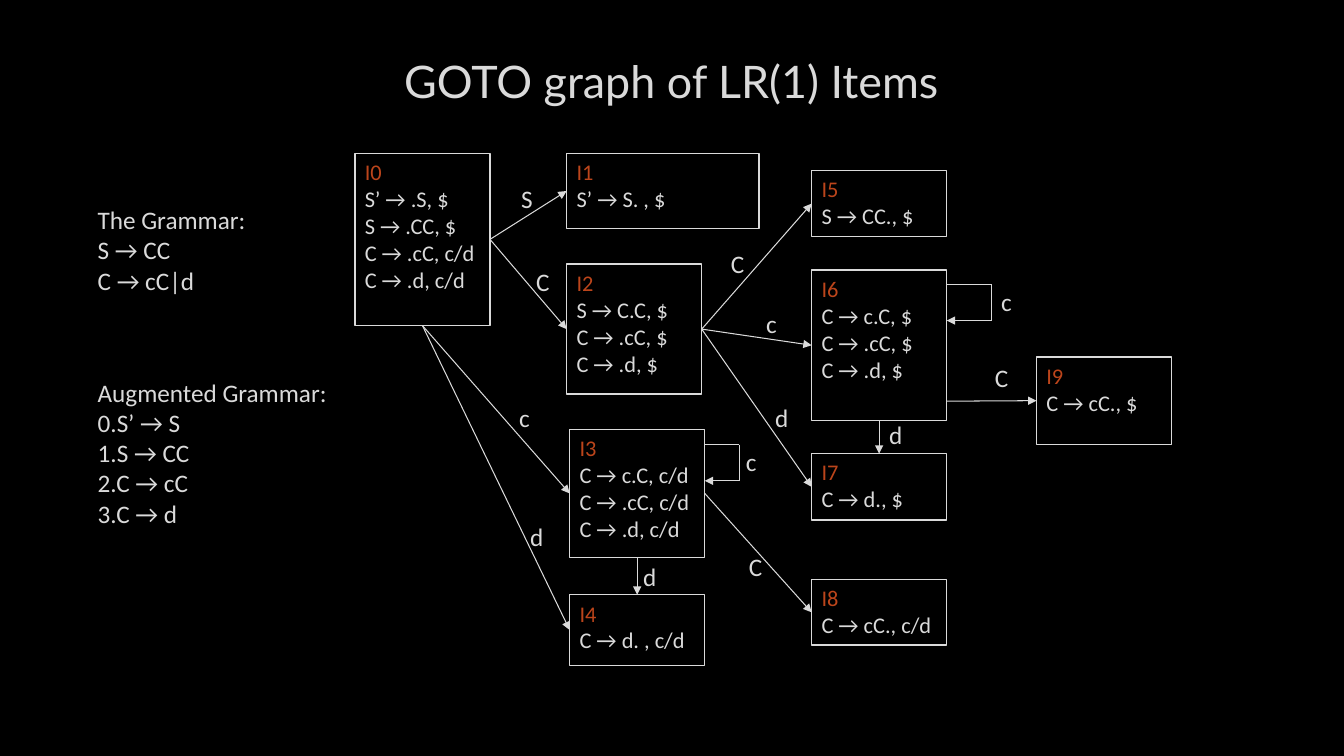
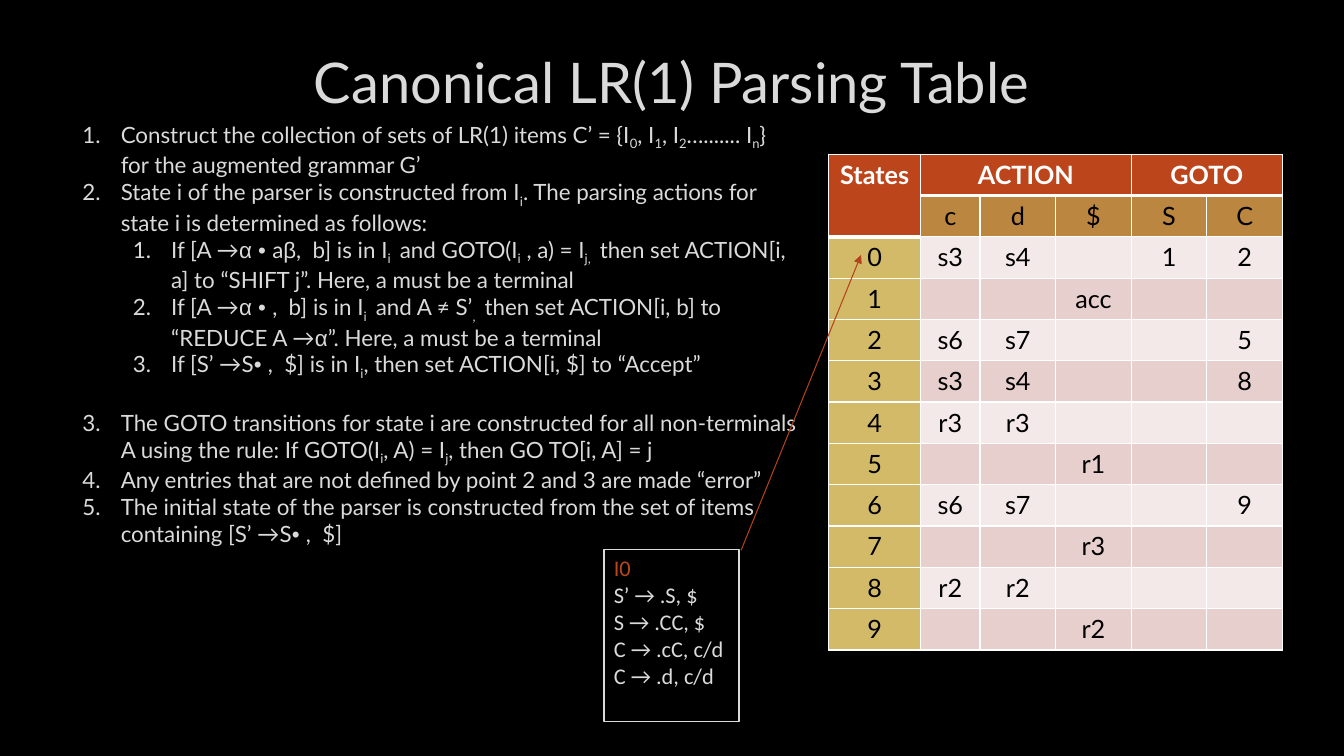
from itertools import pairwise

from lxml import etree
from pptx import Presentation
from pptx.dml.color import RGBColor
from pptx.enum.shapes import MSO_CONNECTOR, MSO_SHAPE
from pptx.enum.text import MSO_ANCHOR, PP_ALIGN
from pptx.oxml.ns import qn
from pptx.util import Inches, Pt

BLACK = RGBColor(0x00, 0x00, 0x00)
WHITE = RGBColor(0xFF, 0xFF, 0xFF)
LIGHT = RGBColor(0xDA, 0xDA, 0xDA)
RUST = RGBColor(0xBC, 0x45, 0x1B)
DARK_RUST = RGBColor(0xB4, 0x42, 0x1A)
BRONZE = RGBColor(0xBB, 0x86, 0x40)
GOLD = RGBColor(0xD3, 0xBA, 0x68)
BANDS = (RGBColor(0xF3, 0xE9, 0xE8), RGBColor(0xE7, 0xCF, 0xCD))

TOP, LEFT, BOTTOM, RIGHT = range(4)

GRAMMAR = ["The Grammar:", "S → CC", "C → cC|d"]
AUGMENTED = ["Augmented Grammar:", "0.S’ → S", "1.S → CC", "2.C → cC", "3.C → d"]
I0_ITEMS = ["S’ → .S, $", "S → .CC, $", "C → .cC, c/d", "C → .d, c/d"]

# name: (left, top, width, height, items)
STATES = {
    "I0": (3.52, 1.52, 1.34, 1.71, I0_ITEMS),
    "I1": (5.62, 1.52, 1.91, 0.75, ["S’ → S. , $"]),
    "I2": (5.62, 2.62, 1.34, 1.29, ["S → C.C, $", "C → .cC, $", "C → .d, $"]),
    "I3": (5.65, 4.26, 1.34, 1.27, ["C → c.C, c/d", "C → .cC, c/d", "C → .d, c/d"]),
    "I4": (5.65, 5.9, 1.34, 0.7, ["C → d. , c/d"]),
    "I5": (8.05, 1.69, 1.34, 0.66, ["S → CC., $"]),
    "I6": (8.05, 2.68, 1.34, 1.49, ["C → c.C, $", "C → .cC, $", "C → .d, $"]),
    "I7": (8.05, 4.5, 1.34, 0.66, ["C → d., $"]),
    "I8": (8.05, 5.75, 1.34, 0.65, ["C → cC., c/d"]),
    "I9": (10.28, 3.54, 1.34, 0.87, ["C → cC., $"]),
}

# source, side, target, side, symbol, symbol left, symbol top
TRANSITIONS = [
    ("I0", RIGHT, "I1", LEFT, "S", 5.07, 1.77),
    ("I0", RIGHT, "I2", LEFT, "C", 5.22, 2.59),
    ("I0", BOTTOM, "I3", LEFT, "c", 5.05, 3.94),
    ("I0", BOTTOM, "I4", LEFT, "d", 5.16, 5.12),
    ("I2", RIGHT, "I5", LEFT, "C", 7.15, 2.41),
    ("I2", RIGHT, "I6", LEFT, "c", 7.5, 3.01),
    ("I2", RIGHT, "I7", LEFT, "d", 7.59, 3.94),
    ("I3", RIGHT, "I8", LEFT, "C", 7.33, 5.42),
    ("I3", BOTTOM, "I4", TOP, "d", 6.28, 5.52),
    ("I6", BOTTOM, "I7", TOP, "d", 8.72, 4.11),
]

# (level, text): |...| is subscript, `...` is set in the symbol font
STEPS = [
    (0, "Construct the collection of sets of LR(1) items C’ = "
        "{I|0|, I|1|, I|2|…....... I|n|} for the augmented grammar G’"),
    (0, "State i of the parser is constructed from I|i|. "
        "The parsing actions for state i is determined as follows:"),
    (1, "If [A →`α • `a`β`,  b] is in I|i | and GOTO(I|i| , a) = I|j, | "
        "then set ACTION[i, a] to “SHIFT j”. Here, a must be a terminal"),
    (1, "If [A →`α • `,  b] is in I|i | and A ≠ S’|, | "
        "then set ACTION[i, b] to “REDUCE A →`α`”. Here, a must be a terminal"),
    (1, "If [S’ →S`• `,  $] is in I|i|, then set ACTION[i, $] to “Accept”"),
    (0, "The GOTO transitions for state i are constructed for all non-terminals "
        "A using the rule: If GOTO(I|i|, A) = I|j|, then GO TO[i, A] = j"),
    (0, "Any entries that are not defined by point 2 and 3 are made “error”"),
    (0, "The initial state of the parser is constructed from the set of items "
        "containing [S’ →S`• `,  $]"),
]

COLUMN_WIDTHS = (0.91, 0.59, 0.75, 0.75, 0.75, 0.75)
PARSING_TABLE = [
    ("States", "ACTION", "", "", "GOTO", ""),
    ("", "c", "d", "$", "S", "C"),
    ("0", "s3", "s4", "", "1", "2"),
    ("1", "", "", "acc", "", ""),
    ("2", "s6", "s7", "", "", "5"),
    ("3", "s3", "s4", "", "", "8"),
    ("4", "r3", "r3", "", "", ""),
    ("5", "", "", "r1", "", ""),
    ("6", "s6", "s7", "", "", "9"),
    ("7", "", "", "r3", "", ""),
    ("8", "r2", "r2", "", "", ""),
    ("9", "", "", "r2", "", ""),
]


def add_run(p, text, size=18, color=LIGHT, font="Calibri", bold=False, subscript=False):
    r = p.add_run()
    r.text = text
    r.font.size = Pt(size)
    r.font.name = font
    r.font.bold = bold
    r.font.color.rgb = color
    if subscript:
        r._r.get_or_add_rPr().set("baseline", "-25000")


def next_paragraph(tf, index):
    return tf.add_paragraph() if index else tf.paragraphs[0]


def add_slide(prs, title, size):
    s = prs.slides.add_slide(prs.slide_layouts[5])
    sp = s.shapes.title
    sp.left, sp.top, sp.width, sp.height = map(Inches, (1, 0.27, 11.32, 1.06))
    tf = sp.text_frame
    tf.vertical_anchor = MSO_ANCHOR.MIDDLE
    p = tf.paragraphs[0]
    p.alignment = PP_ALIGN.CENTER
    add_run(p, title, size=size, font="Lato")
    return s


def add_text_box(s, left, top, width, height, lines):
    tf = s.shapes.add_textbox(*map(Inches, (left, top, width, height))).text_frame
    tf.word_wrap = True
    for i, line in enumerate(lines):
        add_run(next_paragraph(tf, i), line)


def add_symbol(s, left, top, symbol):
    add_text_box(s, left, top, 0.31, 0.36, [symbol])


def add_state(s, name, left, top, width, height, items):
    sp = s.shapes.add_shape(MSO_SHAPE.RECTANGLE, *map(Inches, (left, top, width, height)))
    sp.shadow.inherit = False
    sp.fill.background()
    sp.line.color.rgb = LIGHT
    sp.line.width = Pt(1)
    tf = sp.text_frame
    tf.word_wrap = True
    tf.vertical_anchor = MSO_ANCHOR.TOP
    for i, line in enumerate([name, *items]):
        p = next_paragraph(tf, i)
        p.alignment = PP_ALIGN.LEFT
        add_run(p, line, size=16, color=LIGHT if i else RUST)
    return sp


def add_line(s, start=(0, 0), end=(0, 0), color=LIGHT, arrow=True):
    line = s.shapes.add_connector(MSO_CONNECTOR.STRAIGHT, *map(Inches, (*start, *end)))
    line.line.color.rgb = color
    line.line.width = Pt(0.75)
    if arrow:
        etree.SubElement(line.line._get_or_add_ln(), qn("a:tailEnd"), type="triangle")
    etree.SubElement(line._element.spPr, qn("a:effectLst"))
    return line


def add_self_loop(s, left, top, width):
    right, bottom = left + width, top + 0.36
    corners = [(left, top), (right, top), (right, bottom), (left, bottom)]
    for i, (start, end) in enumerate(pairwise(corners)):
        add_line(s, start, end, arrow=i == 2)


def add_numbered_steps(s):
    tf = s.shapes.add_textbox(*map(Inches, (0.72, 1.15, 7.3, 6.2))).text_frame
    tf.word_wrap = True
    previous = 0
    for i, (level, text) in enumerate(STEPS):
        p = next_paragraph(tf, i)
        p.level = level
        if level < previous:
            p.space_before = Pt(20)
        previous = level
        pPr = p._p.get_or_add_pPr()
        pPr.set("marL", str(Inches(0.38 + 0.5 * level)))
        pPr.set("indent", str(Inches(-0.38)))
        etree.SubElement(pPr, qn("a:buFont"), typeface="+mj-lt")
        etree.SubElement(pPr, qn("a:buAutoNum"), type="arabicPeriod")
        for j, part in enumerate(text.split("|")):
            for k, piece in enumerate(part.split("`")):
                if piece:
                    add_run(p, piece, size=16, font="Arial" if k % 2 else "Lato",
                            subscript=j % 2 == 1)


def set_cell_borders(cell, **widths):
    tcPr = cell._tc.get_or_add_tcPr()
    for side in "LRTB":
        ln = etree.SubElement(tcPr, qn(f"a:ln{side}"), w=str(Pt(widths.get(side, 1))))
        fill = etree.SubElement(ln, qn("a:solidFill"))
        etree.SubElement(fill, qn("a:srgbClr"), val=str(WHITE))


def cell_fill(row, col):
    if row == 0 or (row == 1 and col == 0):
        return RUST
    if row == 1:
        return BRONZE
    return GOLD if col == 0 else BANDS[row % 2]


def add_parsing_table(s):
    rows, cols = len(PARSING_TABLE), len(COLUMN_WIDTHS)
    frame = s.shapes.add_table(rows, cols, Inches(8.22), Inches(1.53),
                               Inches(sum(COLUMN_WIDTHS)), Inches(0.41 * rows))
    table = frame.table
    for column, width in zip(table.columns, COLUMN_WIDTHS):
        column.width = Inches(width)
    for first, last in (((0, 0), (1, 0)), ((0, 1), (0, 3)), ((0, 4), (0, 5))):
        table.cell(*first).merge(table.cell(*last))
    for row, values in enumerate(PARSING_TABLE):
        table.rows[row].height = Inches(0.41)
        for col, value in enumerate(values):
            cell = table.cell(row, col)
            header_end = 0 if col else 1
            set_cell_borders(cell, T=3 if row == header_end + 1 else 1,
                             B=3 if row in (0, header_end) else 1)
            cell.fill.solid()
            cell.fill.fore_color.rgb = cell_fill(row, col)
            if value:
                p = cell.text_frame.paragraphs[0]
                p.alignment = PP_ALIGN.CENTER
                add_run(p, value, font="Lato", bold=row == 0,
                        color=BLACK if row else WHITE)


def build_goto_graph(prs):
    s = add_slide(prs, "GOTO graph of LR(1) Items", 32)
    add_text_box(s, 0.87, 1.98, 1.71, 1.07, GRAMMAR)
    add_text_box(s, 0.87, 3.69, 2.65, 1.7, AUGMENTED)
    boxes = {name: add_state(s, name, *state) for name, state in STATES.items()}
    for source, out_side, target, in_side, symbol, left, top in TRANSITIONS:
        line = add_line(s)
        line.begin_connect(boxes[source], out_side)
        line.end_connect(boxes[target], in_side)
        add_symbol(s, left, top, symbol)
    add_line(s, (9.39, 3.98), (10.28, 3.98)).end_connect(boxes["I9"], LEFT)
    add_symbol(s, 9.77, 3.55, "C")
    add_self_loop(s, 6.99, 4.41, 0.34)
    add_symbol(s, 7.3, 4.38, "c")
    add_self_loop(s, 9.39, 2.82, 0.44)
    add_symbol(s, 9.83, 2.79, "c")


def build_parsing_table(prs):
    s = add_slide(prs, "Canonical LR(1) Parsing Table", 40)
    add_parsing_table(s)
    add_numbered_steps(s)
    add_state(s, "I0", 5.99, 5.45, 1.34, 1.71, I0_ITEMS)
    add_line(s, (7.35, 5.46), (8.54, 2.53), color=DARK_RUST)


def main():
    prs = Presentation()
    prs.slide_width, prs.slide_height = Inches(13.33), Inches(7.5)
    background = prs.slide_master.background.fill
    background.solid()
    background.fore_color.rgb = BLACK
    build_goto_graph(prs)
    build_parsing_table(prs)
    prs.save("out.pptx")


if __name__ == "__main__":
    main()
